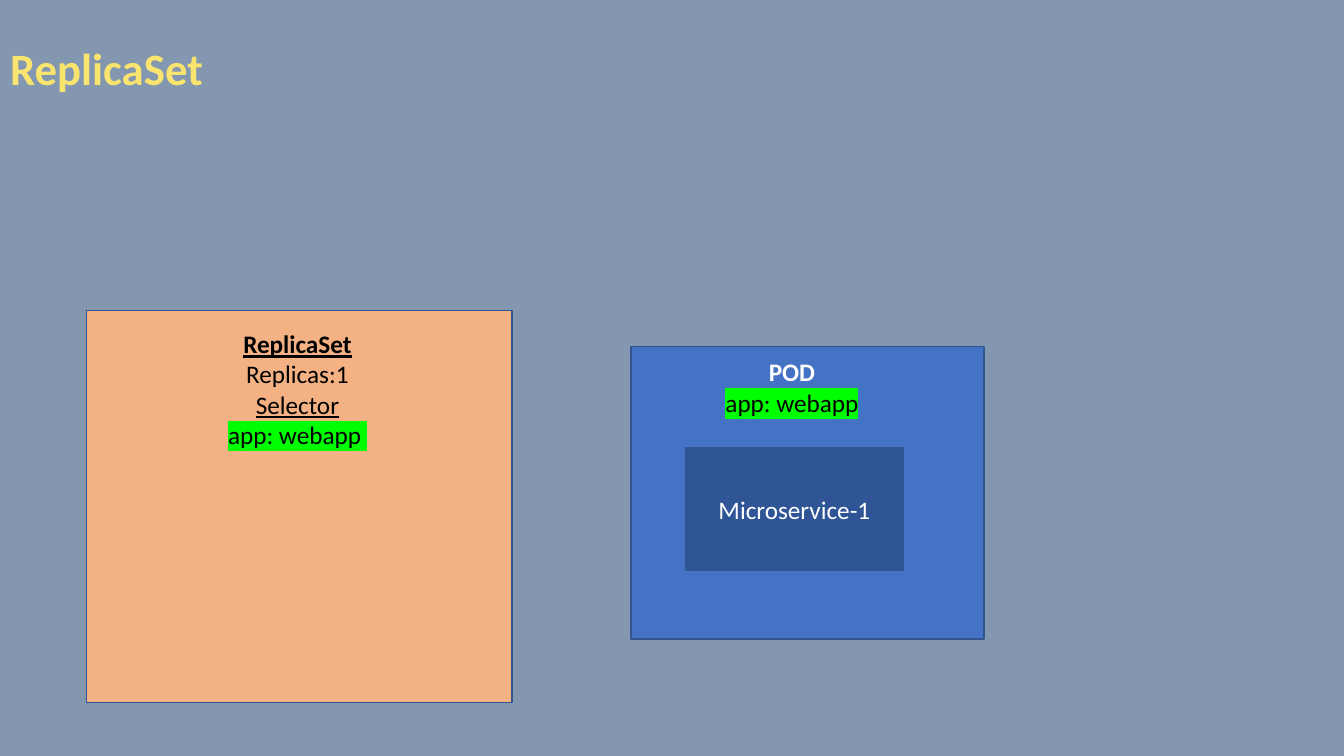
from lxml.etree import SubElement
from pptx import Presentation
from pptx.dml.color import RGBColor
from pptx.enum.shapes import MSO_SHAPE as Shape
from pptx.enum.text import MSO_ANCHOR as Anchor, PP_ALIGN as Align
from pptx.oxml.ns import qn
from pptx.util import Inches, Pt

COLORS = {
    "background": "8497B0", "title": "F8E46E", "replica_set": "F4B183",
    "pod": "4472C4", "microservice": "2F5597", "outline": "325491",
    "label": "00FF00", "dark": "000000", "light": "FFFFFF",
}
TITLE = "ReplicaSet"
TITLE_BOX = (0, 0.35, 12.96, 1.18)

# Each line is its text and its format; each box is left, top, width, height.
CARDS = [
    {
        "fill": "replica_set",
        "box": (0.86, 3.08, 4.22, 3.89),
        "text_box": (1.69, 3.21, 2.52, 1.31),
        "lines": [
            ("ReplicaSet", {"bold": True, "underline": True}),
            ("Replicas:1", {}),
            ("Selector", {"underline": True}),
            ("app: webapp ", {"highlight": "label"}),
        ],
    },
    {
        "fill": "pod",
        "box": (6.26, 3.44, 3.5, 2.9),
        "text_box": (7.06, 3.49, 1.59, 0.71),
        "lines": [
            ("POD", {"bold": True, "color": "light"}),
            ("app: webapp", {"highlight": "label"}),
        ],
    },
    {
        "fill": "microservice",
        "box": (6.8, 4.44, 2.16, 1.22),
        "lines": [("Microservice-1", {"color": "light"})],
    },
]


def rgb(name):
    return RGBColor.from_string(COLORS[name])


def inches(box):
    return [Inches(length) for length in box]


def write(paragraph, text, color="dark", size=18, bold=False,
          underline=False, highlight=None, align=Align.CENTER):
    paragraph.alignment = align
    run = paragraph.add_run()
    run.text = text
    font = run.font
    font.size, font.bold, font.underline = Pt(size), bold, underline
    font.color.rgb = rgb(color)
    if highlight:
        # The schema places the highlight between the fill and the typeface.
        mark = SubElement(run._r.get_or_add_rPr(), qn("a:highlight"))
        SubElement(mark, qn("a:srgbClr"), val=COLORS[highlight])
    font.name = "Calibri"


def add_card(shapes, fill, box, lines, text_box=None):
    """Draw a rectangle with its lines inside, or in a text box on top."""
    if text_box:
        shapes = shapes.add_group_shape().shapes
    card = shapes.add_shape(Shape.RECTANGLE, *inches(box))
    card.shadow.inherit = False
    card.fill.solid()
    card.fill.fore_color.rgb = rgb(fill)
    card.line.color.rgb = rgb("outline")
    card.line.width = Pt(1)
    holder = shapes.add_textbox(*inches(text_box)) if text_box else card
    frame = holder.text_frame
    frame.word_wrap = True
    frame.vertical_anchor = Anchor.TOP if text_box else Anchor.MIDDLE
    for index, (text, style) in enumerate(lines):
        paragraph = frame.add_paragraph() if index else frame.paragraphs[0]
        write(paragraph, text, **style)


def main():
    presentation = Presentation()
    presentation.slide_width, presentation.slide_height = inches((13.33, 7.5))
    slide = presentation.slides.add_slide(presentation.slide_layouts[5])
    slide.background.fill.solid()
    slide.background.fill.fore_color.rgb = rgb("background")

    title = slide.shapes.title
    title.left, title.top, title.width, title.height = inches(TITLE_BOX)
    title.text_frame.vertical_anchor = Anchor.TOP
    write(title.text_frame.paragraphs[0], TITLE, color="title", size=32,
          bold=True, align=Align.LEFT)

    for card in CARDS:
        add_card(slide.shapes, **card)
    presentation.save("out.pptx")


if __name__ == "__main__":
    main()
